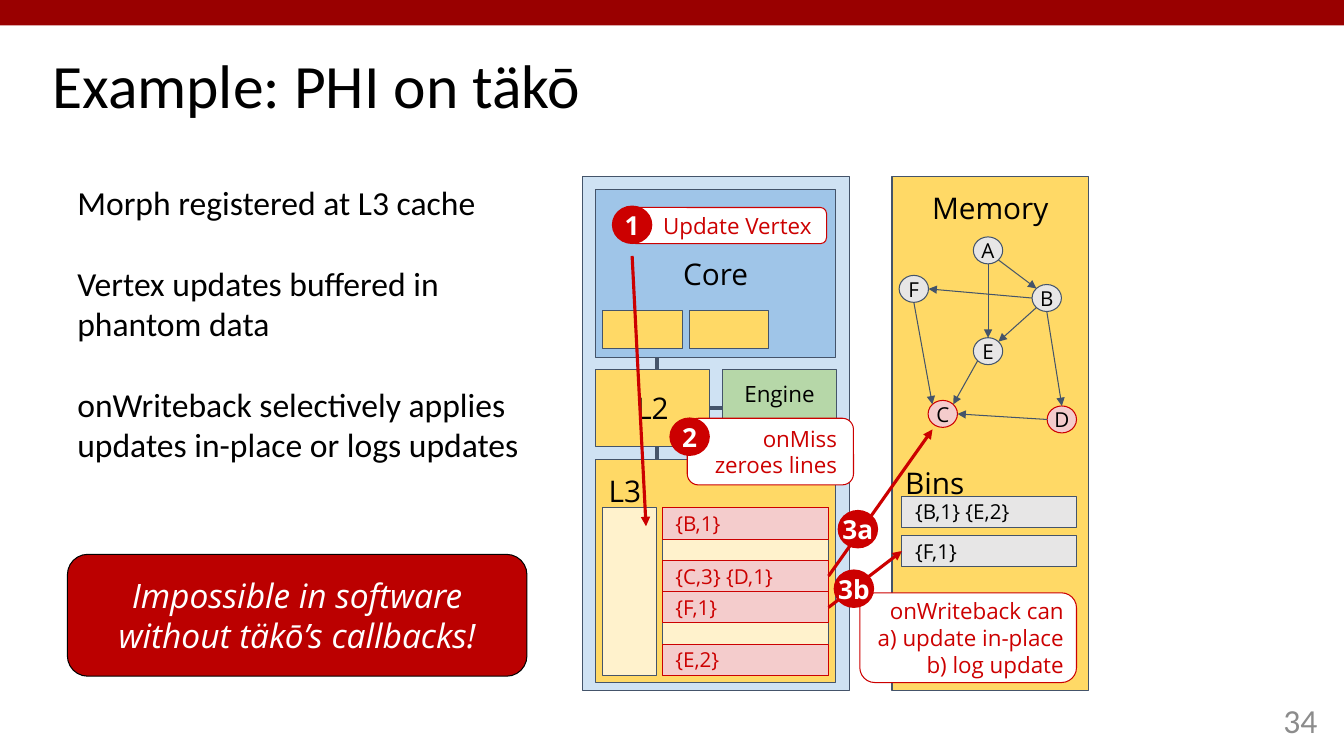
from lxml import etree
from pptx import Presentation
from pptx import util as u
from pptx.dml.color import RGBColor
from pptx.enum import shapes, text
from pptx.oxml import ns

BLACK = RGBColor(0x00, 0x00, 0x00)
WHITE = RGBColor(0xFF, 0xFF, 0xFF)
GREY = RGBColor(0x8C, 0x8C, 0x8C)
LIGHT_GREY = RGBColor(0xE7, 0xE6, 0xE6)
SLATE = RGBColor(0x44, 0x54, 0x6A)
DARK_RED = RGBColor(0x99, 0x00, 0x00)
BANNER_RED = RGBColor(0xBB, 0x00, 0x00)
RED = RGBColor(0xCC, 0x00, 0x00)
PINK = RGBColor(0xF4, 0xCC, 0xCC)
YELLOW = RGBColor(0xFF, 0xD9, 0x66)
CREAM = RGBColor(0xFF, 0xF2, 0xCC)
PALE_BLUE = RGBColor(0xCF, 0xE2, 0xF3)
BLUE = RGBColor(0x9F, 0xC5, 0xE8)
GREEN = RGBColor(0xB6, 0xD7, 0xA8)

RECT = shapes.MSO_SHAPE.RECTANGLE
ROUND = shapes.MSO_SHAPE.ROUNDED_RECTANGLE
OVAL = shapes.MSO_SHAPE.OVAL
LEFT, CENTER, RIGHT = text.PP_ALIGN.LEFT, text.PP_ALIGN.CENTER, text.PP_ALIGN.RIGHT
TOP, MIDDLE = text.MSO_ANCHOR.TOP, text.MSO_ANCHOR.MIDDLE

deck = Presentation()
deck.slide_width, deck.slide_height = u.Cm(33.87), u.Cm(19.05)
page = deck.slides.add_slide(deck.slide_layouts[6])


def block(words, place, kind=None, fill=None, line=None, size=21.3, font="Open Sans",
          color=BLACK, align=CENTER, anchor=MIDDLE, inset=0.33, wrap=True,
          bold=False, italic=False, gap=0, spacing=1.0):
    """Add a shape, or a text box when no kind is given, with one paragraph per line."""
    place = [u.Cm(length) for length in place]
    if kind is None:
        box = page.shapes.add_textbox(*place)
    else:
        box = page.shapes.add_shape(kind, *place)
        box.shadow.inherit = False
        box.fill.solid()
        box.fill.fore_color.rgb = fill
        if line is None:
            box.line.fill.background()
        else:
            box.line.color.rgb = line
            box.line.width = u.Pt(0.75)
    if not words:
        return box
    frame = box.text_frame
    frame.word_wrap = wrap
    frame.vertical_anchor = anchor
    frame.margin_left = frame.margin_right = u.Cm(inset)
    frame.margin_top = frame.margin_bottom = u.Cm(inset)
    for number, sentence in enumerate(words.split("\n")):
        para = frame.add_paragraph() if number else frame.paragraphs[0]
        para.alignment = align
        para.line_spacing = spacing
        para.space_after = u.Pt(gap)
        span = para.add_run()
        span.text = sentence
        span.font.size = u.Pt(size)
        span.font.name = font
        span.font.color.rgb = color
        span.font.bold, span.font.italic = bold, italic
    return box


def link(start, end, color=SLATE, width=0.75, arrow=True):
    """Add a straight line from start to end, with an arrowhead at its end."""
    ends = [u.Cm(length) for length in (*start, *end)]
    connector = page.shapes.add_connector(shapes.MSO_CONNECTOR.STRAIGHT, *ends)
    connector.line.color.rgb = color
    connector.line.width = u.Pt(width)
    properties = connector._element.spPr
    if arrow:
        etree.SubElement(properties.find(ns.qn("a:ln")), ns.qn("a:tailEnd"), type="triangle")
    etree.SubElement(properties, ns.qn("a:effectLst"))
    return connector


# Header, title and page number
block("", (0, 0, 33.87, 0.64), RECT, DARK_RED)
block("Example: PHI on täkō", (1.07, 1.14, 31.75, 2.16), size=44, font="Calibri",
      align=LEFT, inset=0.25, spacing=0.9)
block("34", (30.71, 17.63, 2.74, 1.02), size=24, font="Calibri", color=GREY,
      align=RIGHT, inset=0.25)

# Explanation and banner
block("Morph registered at L3 cache\n"
      "Vertex updates buffered in phantom data\n"
      "onWriteback selectively applies updates in-place or logs updates",
      (1.7, 4.33, 11.76, 7.44), size=24, font="Calibri", align=LEFT, anchor=TOP,
      inset=0.25, gap=29)
block("Impossible in software without täkō’s callbacks!", (1.7, 13.97, 11.58, 3.07),
      ROUND, BANNER_RED, BLACK, size=24, color=WHITE, italic=True)

# Memory panel with bins
block("Memory", (22.48, 4.45, 4.95, 12.95), RECT, YELLOW, SLATE, anchor=TOP)
block("Bins", (22.48, 11.38, 4.95, 1.6), align=LEFT, anchor=TOP)
bins = [block(words, (22.73, top, 4.39, 0.79), RECT, LIGHT_GREY, SLATE, size=14.7, align=LEFT)
        for words, top in (("{B,1} {E,2}", 12.5), ("{F,1}", 13.49))]

# Chip with core, caches and engine
block("", (14.68, 4.45, 6.73, 12.95), RECT, PALE_BLUE, SLATE)
link((19.62, 9.63), (19.62, 16.71), width=3, arrow=False)
link((16.55, 7.47), (16.55, 14.55), width=3, arrow=False)
block("Core", (15.01, 4.78, 6.05, 4.22), RECT, BLUE, SLATE)
for left in (15.19, 17.37):
    block("", (left, 7.82, 2.01, 0.97), RECT, YELLOW, SLATE)
l2 = block("L2", (15.01, 9.3, 2.87, 1.96), RECT, YELLOW, SLATE)
engine = block("Engine", (18.21, 9.3, 2.87, 1.96), RECT, GREEN, SLATE, size=16,
               anchor=TOP, inset=0.28)
bus = link((17.88, 10.28), (18.21, 10.28), width=3, arrow=False)
bus.begin_connect(l2, 3)
bus.end_connect(engine, 1)
block("L3", (15.01, 11.58, 6.05, 5.61), RECT, YELLOW, SLATE, align=LEFT, anchor=TOP)
for left, width in ((15.19, 1.35), (16.69, 4.19)):
    block("", (left, 12.8, width, 4.22), RECT, CREAM, SLATE)

# Buffered lines in L3
cache_lines = {}
for words, top in (("{B,1}", 12.8), ("{C,3} {D,1}", 14.12), ("{F,1}", 14.91), ("{E,2}", 16.23)):
    cache_lines[words] = block(words, (16.69, top, 4.19, 0.79), RECT, PINK, RED,
                               size=14.7, color=RED, align=LEFT)

# Callouts and red arrows
link((15.93, 6.45), (16.28, 13.26), RED, 2.25)
for words, place, inset in (
        ("Update Vertex", (15.88, 5.23, 4.95, 0.91), 0.33),
        ("onWriteback can\na) update in-place\nb) log update", (21.67, 14.94, 5.46, 2.26), 0.21),
        ("onMiss\nzeroes lines", (17.32, 10.54, 4.19, 1.68), 0.33)):
    block(words, place, ROUND, WHITE, RED, size=16, color=RED, align=RIGHT, inset=inset)
log_update = link((20.88, 15.3), (22.73, 13.88), RED, 2.25)
log_update.begin_connect(cache_lines["{F,1}"], 3)
log_update.end_connect(bins[1], 1)
update_in_place = link((20.88, 14.52), (23.5, 10.82), RED, 2.25)
update_in_place.begin_connect(cache_lines["{C,3} {D,1}"], 3)

# Step badges
for step, left, top in (("1", 15.42, 5.18), ("2", 16.87, 10.52),
                        ("3b", 21.01, 14.35), ("3a", 21.11, 12.85)):
    block(step, (left, top, 1.02, 0.97), OVAL, RED, size=18.7, color=WHITE,
          bold=True, inset=0, wrap=False)

# Graph vertices, placed by their centres
RADIUS_X, RADIUS_Y = 0.37, 0.34
vertices = {"A": (24.9, 6.31), "B": (26.38, 7.51), "C": (23.76, 10.43),
            "D": (26.76, 10.57), "E": (24.9, 8.85), "F": (23.03, 7.28)}
for name, (x, y) in vertices.items():
    fill, line = (PINK, RED) if name in "CD" else (LIGHT_GREY, SLATE)
    block(name, (x - RADIUS_X, y - RADIUS_Y, 2 * RADIUS_X, 2 * RADIUS_Y), OVAL, fill, line,
          size=14.7, inset=0, wrap=False)

# Graph edges, each from a compass point of one vertex to that of another
compass = {"N": (0, -1), "S": (0, 1), "W": (-1, 0), "E": (1, 0),
           "NW": (-0.71, -0.71), "NE": (0.71, -0.71), "SW": (-0.71, 0.71), "SE": (0.71, 0.71)}
for source, leave, target, arrive in (
        ("A", "SE", "B", "NW"), ("A", "S", "E", "N"), ("B", "W", "F", "E"),
        ("B", "SW", "E", "NE"), ("B", "S", "D", "N"), ("D", "W", "C", "E"),
        ("F", "S", "C", "NW"), ("E", "SW", "C", "NE")):
    start, end = [(vertices[name][0] + RADIUS_X * compass[side][0],
                   vertices[name][1] + RADIUS_Y * compass[side][1])
                  for name, side in ((source, leave), (target, arrive))]
    link(start, end)

deck.save("out.pptx")
